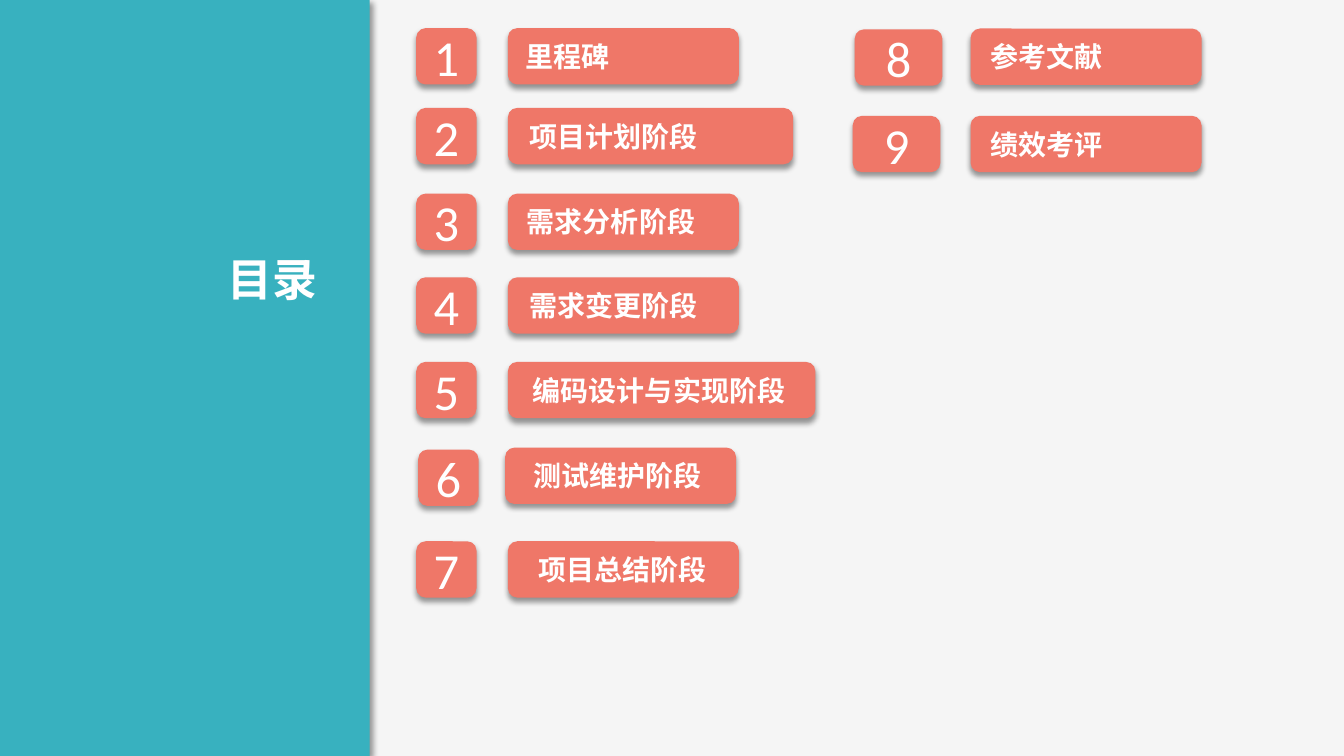
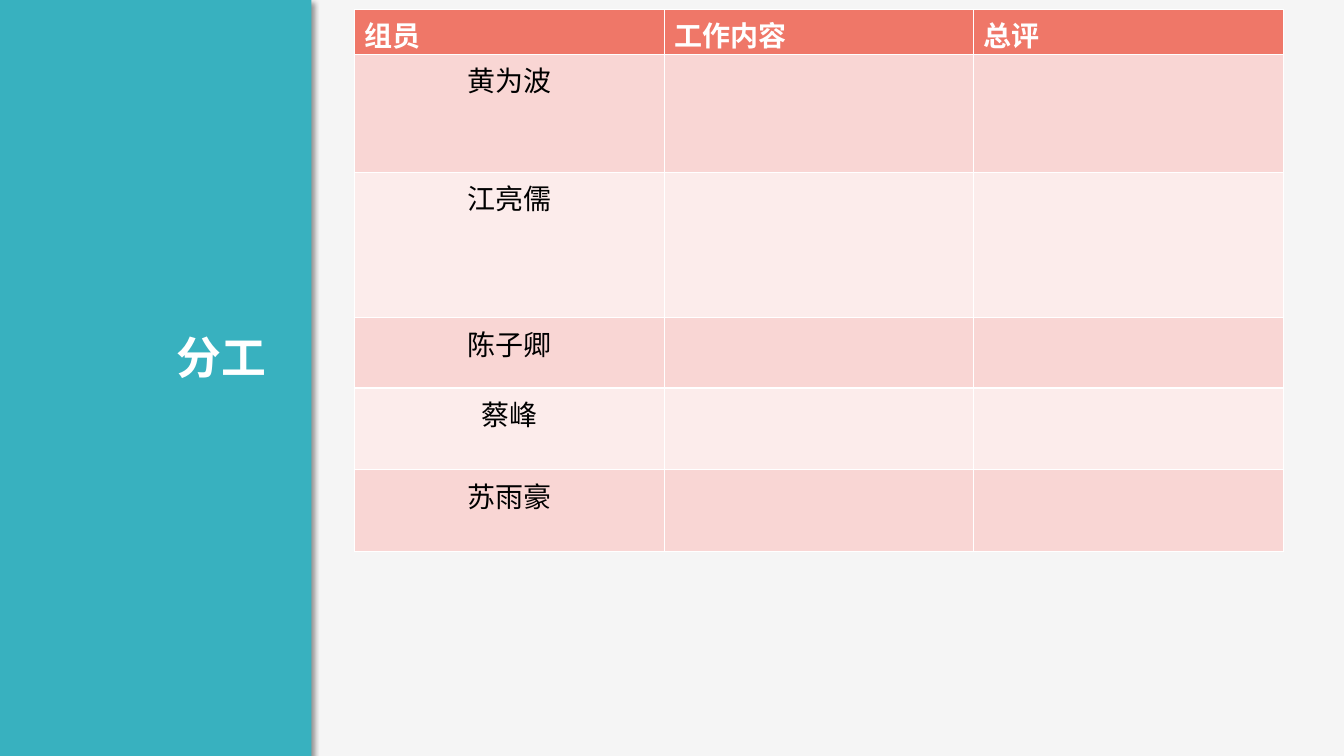
"""Build a contents slide and a team task slide with a shared side band."""
from lxml import etree
from pptx import Presentation
from pptx.dml.color import RGBColor
from pptx.enum import shapes, text
from pptx.oxml.ns import qn
from pptx.util import Cm, Pt

TEAL, CORAL, WHITE, BLACK = "38B1BF", "EF7768", "FFFFFF", "000000"
PAPER, ROSE, BLUSH = "F5F5F5", "F9D6D4", "FCECEB"
HAN, LATIN = "Noto Sans CJK SC", "Calibri"
KIND = shapes.MSO_SHAPE
ALIGN = text.PP_ALIGN


def write(frame, words, size, color=WHITE, bold=False, align=ALIGN.LEFT, face=HAN):
    para = frame.paragraphs[0]
    para.alignment = align
    run = para.add_run()
    run.text = words
    run.font.size = Pt(size)
    run.font.bold = bold
    run.font.name = face
    run.font.color.rgb = RGBColor.from_string(color)
    etree.SubElement(run.font._element, qn("a:ea"), typeface=HAN)


def block(slide, kind, left, top, width, height, color, angle):
    shape = slide.shapes.add_shape(kind, Cm(left), Cm(top), Cm(width), Cm(height))
    shape.fill.solid()
    shape.fill.fore_color.rgb = RGBColor.from_string(color)
    shape.line.fill.background()
    shape.shadow.inherit = False
    glow = etree.SubElement(
        shape._element.spPr.find(qn("a:effectLst")), qn("a:outerShdw"),
        blurRad=str(Pt(4)), dist=str(Pt(3)), dir=str(angle * 60000),
        algn="t", rotWithShape="0")
    tint = etree.SubElement(glow, qn("a:srgbClr"), val=BLACK)
    etree.SubElement(tint, qn("a:alpha"), val="40000")
    frame = shape.text_frame
    frame.word_wrap = True
    frame.vertical_anchor = text.MSO_ANCHOR.MIDDLE
    frame.margin_left = frame.margin_right = Cm(0.33)
    frame.margin_top = frame.margin_bottom = Cm(0.18)
    return frame


deck = Presentation()
deck.slide_width, deck.slide_height = Cm(33.87), Cm(19.05)

pages = []
for title, band, edge, top in [("目录", 9.32, 8.33, 6.17), ("分工", 7.85, 7.04, 8.13)]:
    page = deck.slides.add_slide(deck.slide_layouts[6])
    page.background.fill.solid()
    page.background.fill.fore_color.rgb = RGBColor.from_string(PAPER)
    block(page, KIND.RECTANGLE, 0, 0, band, 19.05, TEAL, 45)
    frame = page.shapes.add_textbox(0, Cm(top), Cm(edge), Cm(1.7)).text_frame
    frame.word_wrap = True
    frame.margin_right = Cm(0.33)
    frame.margin_top = frame.margin_bottom = Cm(0.18)
    write(frame, title, 32, bold=True, align=ALIGN.RIGHT)
    pages.append(page)
index, tasks = pages

HIGH = 1.42
items = [
    ("里程碑", 10.49, 0.71, 1.52, 12.8, 0.71, 5.82, 0.38),
    ("项目计划阶段", 10.49, 2.72, 1.52, 12.8, 2.72, 7.19, 0.48),
    ("需求分析阶段", 10.49, 4.88, 1.52, 12.8, 4.88, 5.82, 0.41),
    ("需求变更阶段", 10.49, 6.99, 1.52, 12.8, 6.99, 5.82, 0.48),
    ("编码设计与实现阶段", 10.49, 9.12, 1.52, 12.8, 9.12, 7.75, 0.56),
    ("测试维护阶段", 10.54, 11.33, 1.52, 12.73, 11.28, 5.82, 0.64),
    ("项目总结阶段", 10.49, 13.64, 1.52, 12.8, 13.64, 5.82, 0.71),
    ("参考文献", 21.54, 0.74, 2.21, 24.46, 0.72, 5.82, 0.43),
    ("绩效考评", 21.49, 2.92, 2.21, 24.46, 2.92, 5.82, 0.43),
]
for count, (name, left, top, wide, start, level, span, indent) in enumerate(items, 1):
    badge = block(index, KIND.ROUNDED_RECTANGLE, left, top, wide, HIGH, CORAL, 90)
    write(badge, str(count), 36, align=ALIGN.CENTER, face=LATIN)
    label = block(index, KIND.ROUNDED_RECTANGLE, start, level, span, HIGH, CORAL, 90)
    label.margin_left = Cm(indent)
    write(label, name, 20, bold=True)

heads = ["组员", "工作内容", "总评"]
team = ["黄为波", "江亮儒", "陈子卿", "蔡峰", "苏雨豪"]
highs = [1.14, 2.97, 3.66, 1.78, 2.06, 2.06]
grid = tasks.shapes.add_table(
    len(highs), len(heads), Cm(8.94), Cm(0.23), Cm(23.4), Cm(sum(highs))).table
for column in grid.columns:
    column.width = Cm(7.8)
for number, high in enumerate(highs):
    grid.rows[number].height = Cm(high)
    shade = CORAL if number == 0 else (BLUSH, ROSE)[number % 2]
    for cell in grid.rows[number].cells:
        cell.fill.solid()
        cell.fill.fore_color.rgb = RGBColor.from_string(shade)
for place, head in enumerate(heads):
    write(grid.cell(0, place).text_frame, head, 20, bold=True, face=LATIN)
for number, name in enumerate(team, 1):
    write(grid.cell(number, 0).text_frame, name, 20, BLACK, align=ALIGN.CENTER, face=LATIN)

deck.save("out.pptx")
